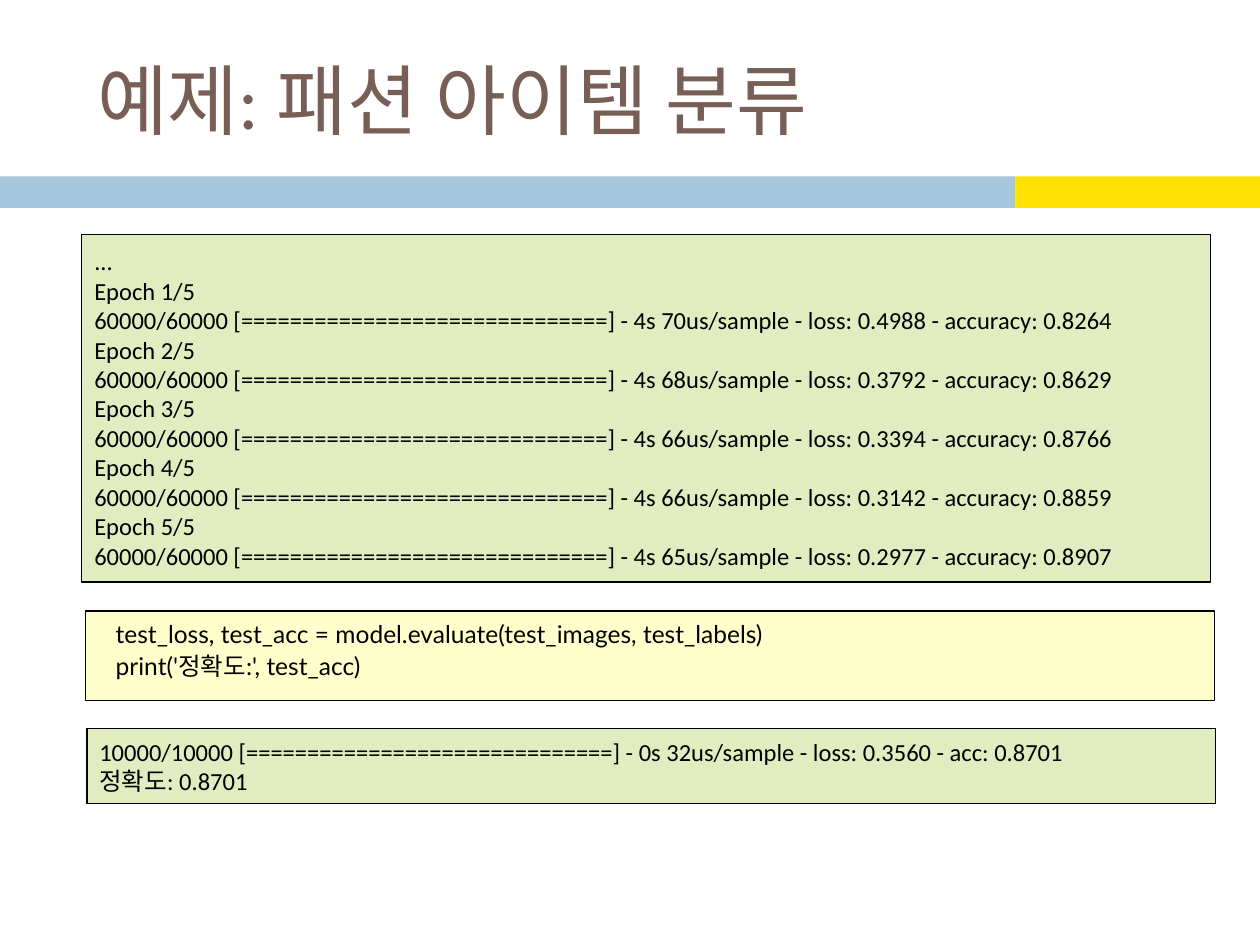
from pptx import Presentation
from pptx.dml.color import RGBColor
from pptx.enum.shapes import MSO_SHAPE as Shape
from pptx.enum.text import MSO_ANCHOR as Anchor, PP_ALIGN as Align
from pptx.util import Inches, Pt

COLS, ROWS = 100, 75
UNIT = Inches(0.1)
GREEN, CREAM, BLACK = "E1ECC1", "FFFFCC", "000000"
RUNS = [(70, "0.4988", "0.8264"), (68, "0.3792", "0.8629"),
        (66, "0.3394", "0.8766"), (66, "0.3142", "0.8859"),
        (65, "0.2977", "0.8907")]


def paint(code):
    return RGBColor.from_string(code)


def grid(box):
    return [round(n * UNIT) for n in box]


def write(shape, lines, size=14, font="Calibri", color=BLACK,
          anchor=Anchor.MIDDLE, left=0, hang=0, pitch=None):
    frame = shape.text_frame
    frame.word_wrap = True
    frame.vertical_anchor = anchor
    for i, line in enumerate(lines):
        para = frame.add_paragraph() if i else frame.paragraphs[0]
        para.alignment = Align.LEFT
        props = para._p.get_or_add_pPr()
        props.set("marL", str(Inches(left)))
        props.set("indent", str(Inches(hang)))
        if pitch:
            para.line_spacing = Pt(pitch)
        run = para.add_run()
        run.text = line
        run.font.size = Pt(size)
        run.font.name = font
        run.font.color.rgb = paint(color)


def panel(slide, box, fill, edge=None):
    shape = slide.shapes.add_shape(Shape.RECTANGLE, *grid(box))
    shape.shadow.inherit = False
    shape.fill.solid()
    shape.fill.fore_color.rgb = paint(fill)
    if edge:
        shape.line.color.rgb = paint(edge)
        shape.line.width = Pt(0.75)
    else:
        shape.line.fill.background()
    return shape


def header(slide, box, text):
    x, y, w, h = box
    title = slide.shapes.title
    title.left, title.top, title.width, title.height = grid(
        (x + 6.7, y + 2.5, w - 10.8, h - 5.8))
    write(title, [text], size=44, color="775F55")
    split, top, band = x + 0.806 * w, y + h - 2.5, 2.5
    panel(slide, (x, top, split - x, band), "A5C6DB")
    panel(slide, (split, top, x + w - split, band), "FEE002")


def output(slide, box, lines):
    write(panel(slide, box, GREEN, BLACK), lines, left=0.38, hang=-0.38)


def source(slide, box, lines):
    write(panel(slide, box, CREAM, BLACK), lines, font="Lato",
          anchor=Anchor.TOP, left=0.14, pitch=18)


def log(count, time, loss, score):
    return f"{count}/{count} [{'=' * 30}] - {time}us/sample - loss: {loss} - {score}"


def main():
    deck = Presentation()
    deck.slide_width, deck.slide_height = COLS * UNIT, ROWS * UNIT
    slide = deck.slides.add_slide(deck.slide_layouts[5])
    header(slide, (0, 0, COLS, 16.5), "예제: 패션 아이템 분류")

    epochs = ["..."]
    for i, (time, loss, acc) in enumerate(RUNS, 1):
        epochs += [f"Epoch {i}/{len(RUNS)}",
                   log(60000, f"4s {time}", loss, f"accuracy: {acc}")]
    output(slide, (6.5, 18.6, 89.6, 27.6), epochs)
    source(slide, (6.8, 48.5, 89.6, 7.1), [
        "test_loss, test_acc = model.evaluate(test_images, test_labels)",
        "print('정확도:', test_acc)"])
    output(slide, (6.9, 57.8, 89.6, 6), [
        log(10000, "0s 32", "0.3560", "acc: 0.8701"), "정확도: 0.8701"])
    deck.save("out.pptx")


if __name__ == "__main__":
    main()
